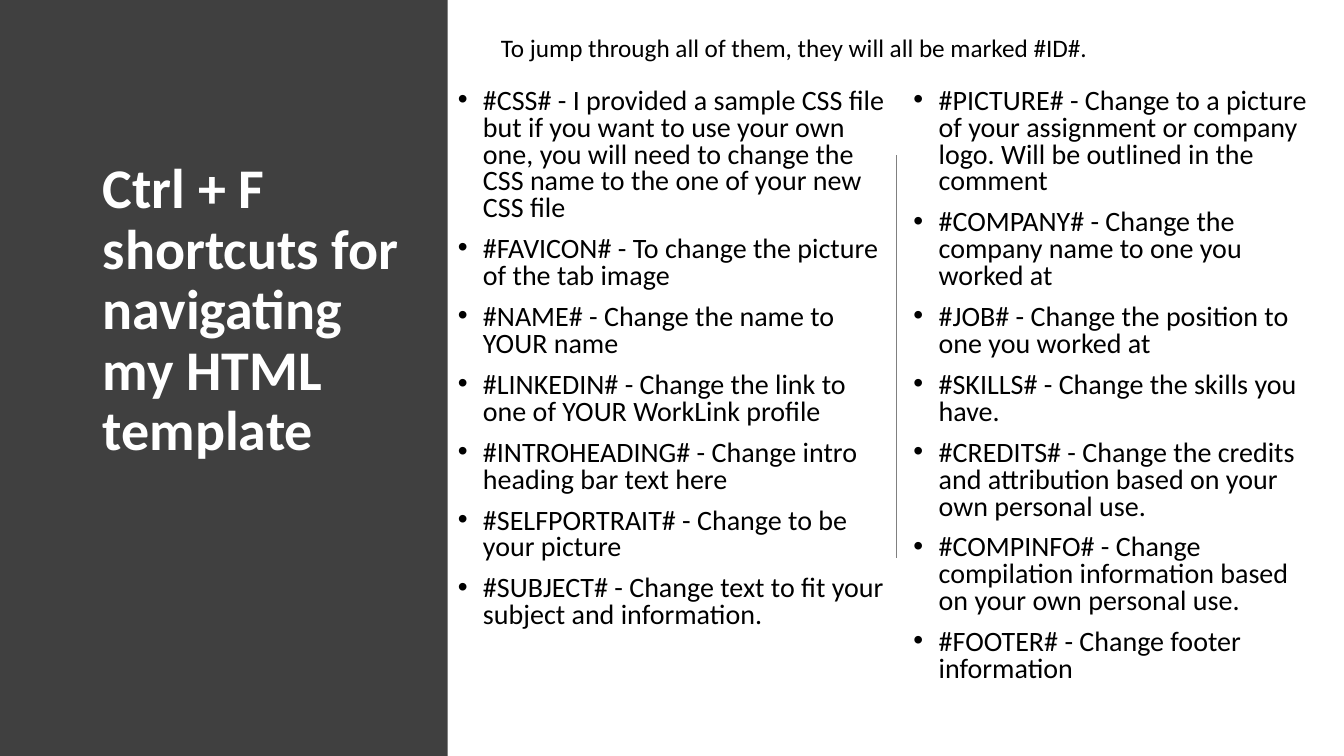
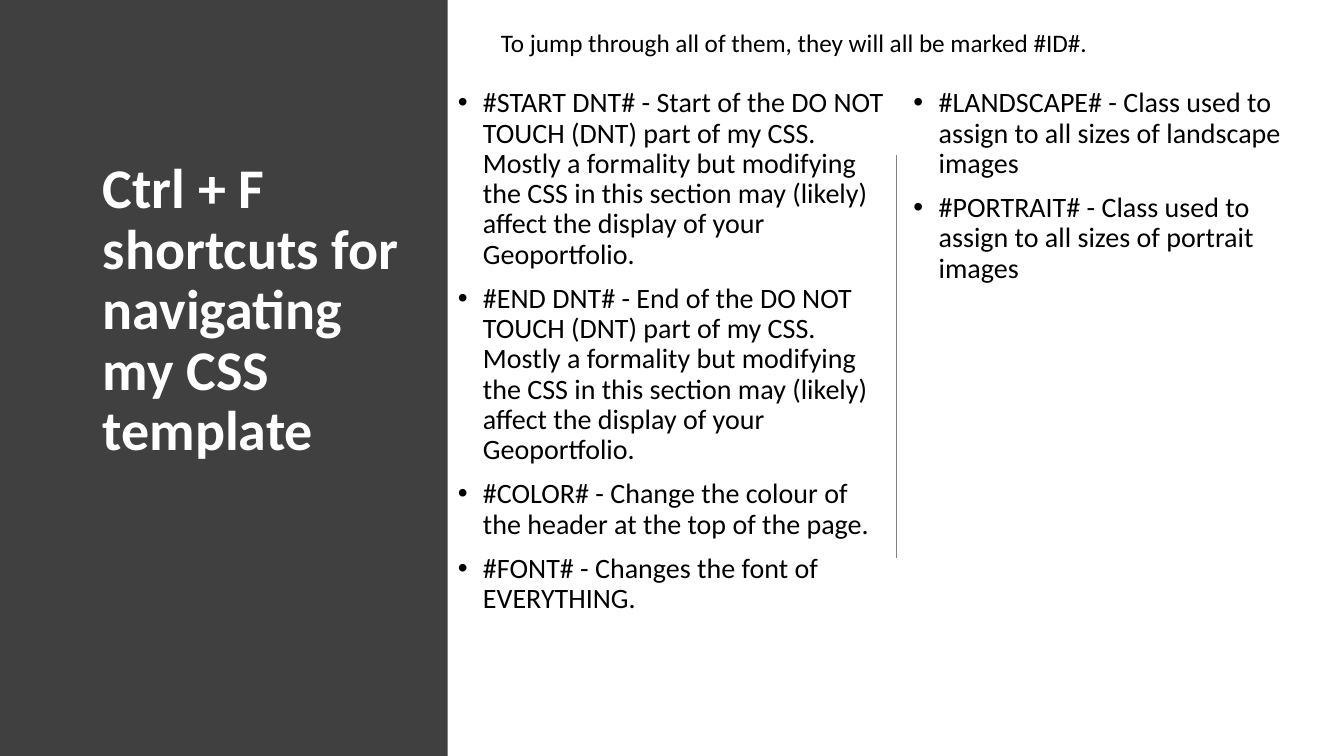
from pptx import Presentation
from pptx.dml.color import RGBColor
from pptx.enum.shapes import MSO_CONNECTOR, MSO_SHAPE
from pptx.enum.text import MSO_ANCHOR, MSO_AUTO_SIZE, PP_ALIGN
from pptx.oxml.ns import qn
from pptx.util import Inches, Pt
from lxml.etree import SubElement

FONT = "Calibri"
BAND, RULE, WHITE, BLACK = "404040", "808080", "FFFFFF", "000000"
BAND_WIDTH, PAGE_HEIGHT = 4.44, 7.5
RULE_X = 8.89
COLUMNS = [(4.44, 4.45), (8.96, 4.22)]  # left, width
INTRO = "To jump through all of them, they will all be marked #ID#."

PAGES = [
    {
        "title": "Ctrl + F shortcuts for navigating my HTML template",
        "intro_top": 0.27,
        "line_spacing": 0.8,
        "lists": [
            [
                "#CSS# - I provided a sample CSS file but if you want to use your own one, "
                "you will need to change the CSS name to the one of your new CSS file",
                "#FAVICON# - To change the picture of the tab image",
                "#NAME# - Change the name to YOUR name",
                "#LINKEDIN# - Change the link to one of YOUR WorkLink profile",
                "#INTROHEADING# - Change intro heading bar text here",
                "#SELFPORTRAIT# - Change to be your picture",
                "#SUBJECT# - Change text to fit your subject and information.",
            ],
            [
                "#PICTURE# - Change to a picture of your assignment or company logo. "
                "Will be outlined in the comment",
                "#COMPANY# - Change the company name to one you worked at",
                "#JOB# - Change the position to one you worked at",
                "#SKILLS# - Change the skills you have.",
                "#CREDITS# - Change the credits and attribution based on your own personal use.",
                "#COMPINFO# - Change compilation information based on your own personal use.",
                "#FOOTER# - Change footer information",
            ],
        ],
    },
    {
        "title": "Ctrl + F shortcuts for navigating my CSS template",
        "intro_top": 0.22,
        "line_spacing": 0.9,
        "lists": [
            [
                "#START DNT# - Start of the DO NOT TOUCH (DNT) part of my CSS. "
                "Mostly a formality but modifying the CSS in this section may (likely) "
                "affect the display of your Geoportfolio.",
                "#END DNT# - End of the DO NOT TOUCH (DNT) part of my CSS. "
                "Mostly a formality but modifying the CSS in this section may (likely) "
                "affect the display of your Geoportfolio.",
                "#COLOR# - Change the colour of the header at the top of the page.",
                "#FONT# - Changes the font of EVERYTHING.",
            ],
            [
                "#LANDSCAPE# - Class used to assign to all sizes of landscape images",
                "#PORTRAIT# - Class used to assign to all sizes of portrait images",
            ],
        ],
    },
]


def color(value):
    return RGBColor.from_string(value)


def style(para, size, value, bold=False):
    para.font.name = FONT
    para.font.size = Pt(size)
    para.font.bold = bold
    para.font.color.rgb = color(value)


deck = Presentation()
deck.slide_width, deck.slide_height = Inches(13.33), Inches(PAGE_HEIGHT)
two_content = deck.slide_layouts.get_by_name("Two Content")

for content in PAGES:
    page = deck.slides.add_slide(two_content)

    # Dark band, placed behind the title
    band = page.shapes.add_shape(
        MSO_SHAPE.RECTANGLE, 0, 0, Inches(BAND_WIDTH), Inches(PAGE_HEIGHT))
    band.shadow.inherit = False
    band.fill.solid()
    band.fill.fore_color.rgb = color(BAND)
    band.line.fill.background()
    page.shapes._spTree.insert(2, band._element)

    # Title
    title = page.shapes.title
    title.left, title.top = Inches(0.92), Inches(1.54)
    title.width, title.height = Inches(3.17), Inches(4.77)
    title.text_frame.text = content["title"]
    title.text_frame.vertical_anchor = MSO_ANCHOR.TOP
    title.text_frame.auto_size = MSO_AUTO_SIZE.NONE
    para = title.text_frame.paragraphs[0]
    para.alignment = PP_ALIGN.LEFT
    para.line_spacing = 0.9
    style(para, 40, WHITE, bold=True)

    # Two bulleted lists
    for number, (items, (left, width)) in enumerate(zip(content["lists"], COLUMNS), start=1):
        body = page.placeholders[number]
        body.left, body.top = Inches(left), Inches(0.83)
        body.width, body.height = Inches(width), Inches(6.6)
        body.text_frame.text = "\n".join(items)
        body.text_frame.auto_size = MSO_AUTO_SIZE.NONE
        for index, para in enumerate(body.text_frame.paragraphs):
            properties = para._p.get_or_add_pPr()
            properties.set("marL", str(Inches(0.25)))
            properties.set("indent", str(-Inches(0.25)))
            SubElement(properties, qn("a:buChar"), char="•")
            para.line_spacing = content["line_spacing"]
            para.space_before = Pt(10 if index else 0)
            style(para, 20, BLACK)

    # Divider between the lists
    divider = page.shapes.add_connector(
        MSO_CONNECTOR.STRAIGHT, Inches(RULE_X), Inches(1.54), Inches(RULE_X), Inches(5.54))
    divider.line.color.rgb = color(RULE)
    divider.line.width = Pt(1)
    SubElement(divider._element.spPr, qn("a:effectLst"))

    # Introductory line above the lists
    intro = page.shapes.add_textbox(
        Inches(4.87), Inches(content["intro_top"]), Inches(7.87), Inches(0.71))
    intro.text_frame.word_wrap = True
    intro.text_frame.auto_size = MSO_AUTO_SIZE.SHAPE_TO_FIT_TEXT
    intro.text_frame.text = INTRO
    style(intro.text_frame.paragraphs[0], 18, BLACK)

deck.save("out.pptx")
